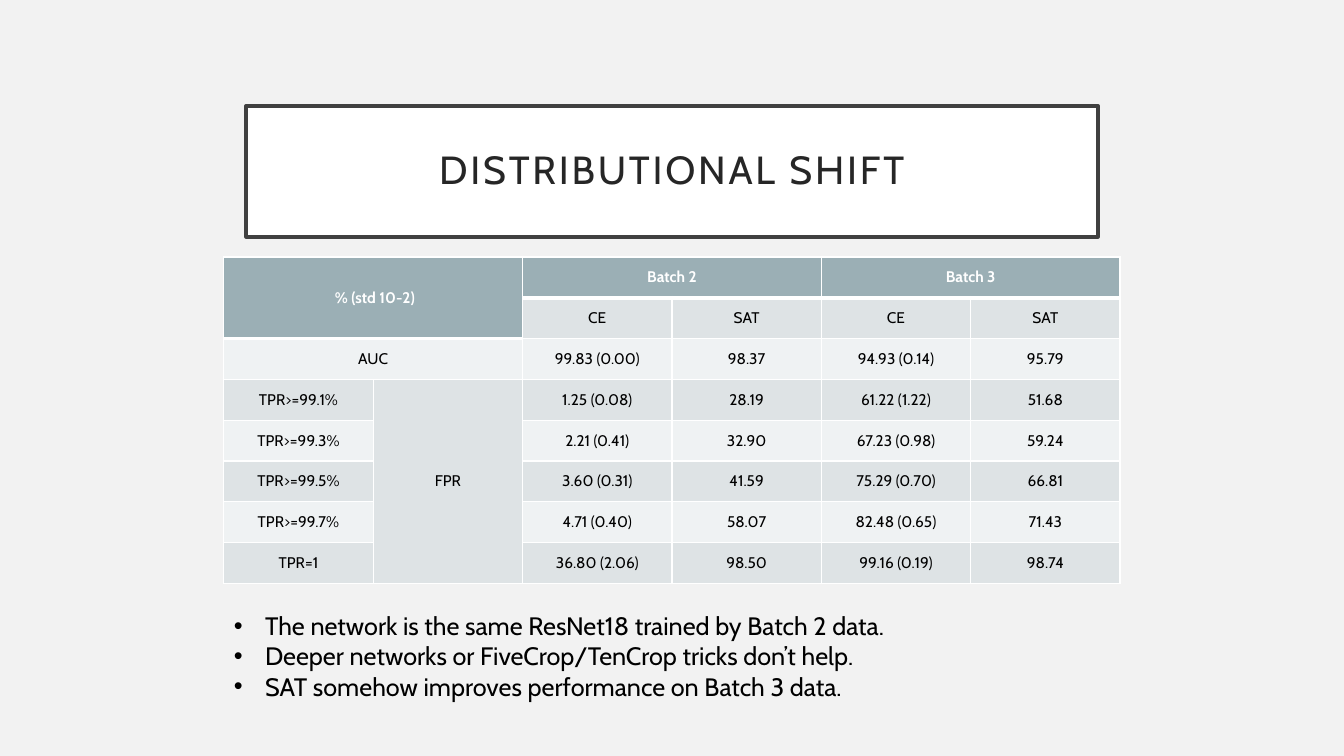
from lxml import etree
from pptx import Presentation
from pptx.dml.color import RGBColor
from pptx.enum.shapes import MSO_SHAPE
from pptx.enum.text import MSO_ANCHOR, PP_ALIGN
from pptx.oxml.ns import qn
from pptx.util import Inches, Pt

RECTANGLE = MSO_SHAPE.RECTANGLE
MIDDLE = MSO_ANCHOR.MIDDLE
CENTER, JUSTIFY = PP_ALIGN.CENTER, PP_ALIGN.JUSTIFY
FONT = "Cabin"
WHITE = RGBColor(0xFF, 0xFF, 0xFF)
BLACK = RGBColor(0x00, 0x00, 0x00)
BACKGROUND = RGBColor(0xF2, 0xF2, 0xF2)
FRAME = RGBColor(0x40, 0x40, 0x40)
TITLE_INK = RGBColor(0x26, 0x26, 0x26)
HEADER = RGBColor(0x9B, 0xAF, 0xB5)
BAND_DARK = RGBColor(0xDE, 0xE3, 0xE5)
BAND_LIGHT = RGBColor(0xEF, 0xF2, 0xF3)

RESULTS = [
    [" % (std 10-2)", "", "Batch 2", "", "Batch 3", ""],
    ["", "", "CE", "SAT", "CE", "SAT"],
    ["AUC", "", "99.83 (0.00)", "98.37", "94.93 (0.14)", "95.79"],
    ["TPR>=99.1%", "FPR", "1.25 (0.08)", "28.19", "61.22 (1.22)", "51.68"],
    ["TPR>=99.3%", "", "2.21 (0.41)", "32.90", "67.23 (0.98)", "59.24"],
    ["TPR>=99.5%", "", "3.60 (0.31)", "41.59", "75.29 (0.70)", "66.81"],
    ["TPR>=99.7%", "", "4.71 (0.40)", "58.07", "82.48 (0.65)", "71.43"],
    ["TPR=1", "", "36.80 (2.06)", "98.50", "99.16 (0.19)", "98.74"],
]
MERGES = [
    ((0, 0), (1, 1)),
    ((0, 2), (0, 3)),
    ((0, 4), (0, 5)),
    ((2, 0), (2, 1)),
    ((3, 1), (7, 1)),
]
REMARKS = [
    "The network is the same ResNet18 trained by Batch 2 data.",
    "Deeper networks or FiveCrop/TenCrop tricks don’t help.",
    "SAT somehow improves performance on Batch 3 data.",
]


def style_para(para, size, color, align, bold=False):
    """Set alignment and font on a paragraph and its runs."""
    para.alignment = align
    for span in para.runs:
        span.font.name = FONT
        span.font.size = Pt(size)
        span.font.bold = bold
        span.font.color.rgb = color


def add_title(page, box, text):
    """Draw the framed title in the given box."""
    shape = page.shapes.add_shape(RECTANGLE, *map(Inches, box))
    shape.shadow.inherit = False
    shape.fill.solid()
    shape.fill.fore_color.rgb = WHITE
    shape.line.color.rgb = FRAME
    shape.line.width = Pt(2.5)
    frame = shape.text_frame
    frame.word_wrap = True
    frame.vertical_anchor = MIDDLE
    frame.margin_left = frame.margin_right = Inches(0.2)
    frame.margin_top = frame.margin_bottom = Inches(0.2)
    frame.text = text
    para = frame.paragraphs[0]
    para.line_spacing = 0.9
    style_para(para, 28, TITLE_INK, CENTER)
    para.runs[0].font._element.set("spc", "200")


def set_borders(cell, top, bottom):
    """Give a cell white borders, with top and bottom widths in points."""
    properties = cell._tc.get_or_add_tcPr()
    widths = {"a:lnL": 1, "a:lnR": 1, "a:lnT": top, "a:lnB": bottom}
    for position, (tag, width) in enumerate(widths.items()):
        line = etree.Element(qn(tag), w=str(Pt(width)))
        fill = etree.SubElement(line, qn("a:solidFill"))
        etree.SubElement(fill, qn("a:srgbClr"), val=str(WHITE))
        properties.insert(position, line)


def add_results(page, box):
    """Draw the results table in the given box."""
    row_count, column_count = len(RESULTS), len(RESULTS[0])
    left, top, width, height = map(Inches, box)
    table = page.shapes.add_table(
        row_count, column_count, left, top, width, height).table
    for column in table.columns:
        column.width = width // column_count
    for row in table.rows:
        row.height = height // row_count
    for row, texts in enumerate(RESULTS):
        for column, text in enumerate(texts):
            header_rows = 2 if column < 2 else 1
            in_header = row < header_rows
            band = BAND_DARK if row % 2 else BAND_LIGHT
            cell = table.cell(row, column)
            cell.fill.solid()
            cell.fill.fore_color.rgb = HEADER if in_header else band
            cell.vertical_anchor = MIDDLE
            cell.text = text
            style_para(cell.text_frame.paragraphs[0], 11,
                       WHITE if in_header else BLACK, CENTER, in_header)
            set_borders(cell, 3 if row == header_rows else 1,
                        3 if in_header else 1)
    for first, last in MERGES:
        table.cell(*first).merge(table.cell(*last))


def add_remarks(page, box):
    """Draw the bulleted remarks in the given box."""
    frame = page.shapes.add_textbox(*map(Inches, box)).text_frame
    frame.word_wrap = True
    frame.vertical_anchor = MIDDLE
    frame.text = "\n".join(REMARKS)
    for para in frame.paragraphs:
        style_para(para, 18, BLACK, JUSTIFY)
        properties = para._p.get_or_add_pPr()
        properties.set("marL", str(Inches(0.31)))
        properties.set("indent", str(-Inches(0.31)))
        etree.SubElement(properties, qn("a:buFont"), typeface="Arial")
        etree.SubElement(properties, qn("a:buChar"), char="•")


def main():
    """Build the slide and save the deck."""
    deck = Presentation()
    deck.slide_width, deck.slide_height = Inches(13.33), Inches(7.5)
    page = deck.slides.add_slide(deck.slide_layouts[6])
    page.background.fill.solid()
    page.background.fill.fore_color.rgb = BACKGROUND
    add_title(page, (2.44, 1.05, 8.45, 1.3), "DISTRIBUTIONAL SHIFT")
    add_remarks(page, (2.22, 6, 8.89, 1.01))
    add_results(page, (2.22, 2.55, 8.89, 3.24))
    deck.save("out.pptx")


if __name__ == "__main__":
    main()
